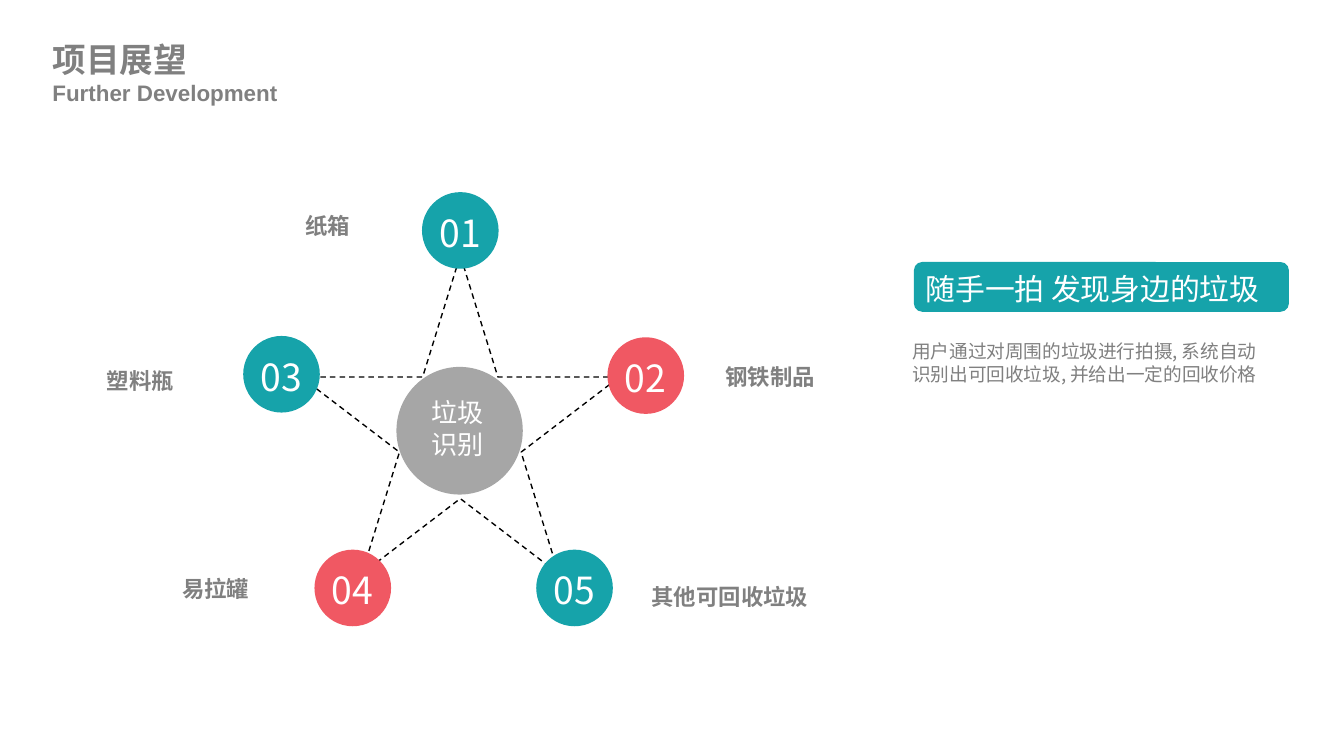
import pptx
import pptx.util
import pptx.dml.color
import pptx.enum.dml
import pptx.enum.shapes
import pptx.enum.text
import pptx.oxml.ns
import lxml.etree

Inches, Pt = pptx.util.Inches, pptx.util.Pt
ALIGN = pptx.enum.text.PP_ALIGN
ANCHOR = pptx.enum.text.MSO_ANCHOR
SHAPE = pptx.enum.shapes.MSO_SHAPE

# Content
COLORS = {"teal": "16A3AA", "red": "F05863", "hub": "A6A6A6",
          "text": "808080", "white": "FFFFFF", "black": "000000"}
CJK_FONT, LATIN_FONT = "Noto Sans CJK SC", "Arial"
TITLE = [("项目展望", 18), ("Further Development", 12)]
HUB_LINES = ["垃圾", "识别"]
BANNER = "随手一拍 发现身边的垃圾"
DESCRIPTION = "用户通过对周围的垃圾进行拍摄, 系统自动识别出可回收垃圾, 并给出一定的回收价格"

# Number, colour, circle corner, label, label box (left, top, width), alignment
NODES = [
    ("01", "teal", (3.14, 1.43), "纸箱", (2.17, 1.53, 0.54), ALIGN.CENTER),
    ("02", "red", (4.52, 2.51), "钢铁制品", (5.3, 2.65, 0.88), ALIGN.LEFT),
    ("03", "teal", (1.81, 2.5), "塑料瓶", (0.69, 2.68, 0.71), ALIGN.CENTER),
    ("04", "red", (2.34, 4.09), "易拉罐", (1.25, 4.23, 0.71), ALIGN.CENTER),
    ("05", "teal", (3.99, 4.09), "其他可回收垃圾", (4.75, 4.29, 1.38), ALIGN.LEFT),
]
NODE_SIZE = 0.57
LABEL_HEIGHT = 0.3


def color(name):
    return pptx.dml.color.RGBColor.from_string(COLORS[name])


def add_run(paragraph, text, size, color_name, bold=False, latin=CJK_FONT):
    run = paragraph.add_run()
    run.text = text
    run.font.size = Pt(size)
    run.font.bold = bold
    run.font.name = latin
    run.font.color.rgb = color(color_name)
    east_asian = lxml.etree.SubElement(run.font._element, pptx.oxml.ns.qn("a:ea"))
    east_asian.set("typeface", CJK_FONT)


def add_shape(slide, kind, box, fill):
    shape = slide.shapes.add_shape(kind, *map(Inches, box))
    shape.shadow.inherit = False
    shape.line.fill.background()
    if fill:
        shape.fill.solid()
        shape.fill.fore_color.rgb = color(fill)
    else:
        shape.fill.background()
    return shape


def write_in_shape(shape, lines, size, insets=(0, 0, 0, 0)):
    frame = shape.text_frame
    frame.word_wrap = False
    frame.vertical_anchor = ANCHOR.MIDDLE
    (frame.margin_left, frame.margin_top,
     frame.margin_right, frame.margin_bottom) = map(Inches, insets)
    paragraph = frame.paragraphs[0]
    paragraph.alignment = ALIGN.CENTER
    for index, line in enumerate(lines):
        if index:
            paragraph.add_line_break()
        add_run(paragraph, line, size, "white")


def add_text(slide, box, text, size, bold, wrap, alignment=ALIGN.LEFT):
    frame = slide.shapes.add_textbox(*map(Inches, box)).text_frame
    frame.word_wrap = wrap
    paragraph = frame.paragraphs[0]
    paragraph.alignment = alignment
    add_run(paragraph, text, size, "text", bold)


def add_title(slide):
    title = slide.shapes.title
    title.left, title.top, title.width, title.height = map(
        Inches, (0.29, 0.24, 1.89, 0.61))
    frame = title.text_frame
    frame.word_wrap = False
    frame.auto_size = pptx.enum.text.MSO_AUTO_SIZE.NONE
    frame.vertical_anchor = ANCHOR.TOP
    for index, (text, size) in enumerate(TITLE):
        paragraph = frame.add_paragraph() if index else frame.paragraphs[0]
        paragraph.alignment = ALIGN.LEFT
        add_run(paragraph, text, size, "text", True, LATIN_FONT)


def main():
    # Widescreen page, 16 to 9
    presentation = pptx.Presentation()
    presentation.slide_width = Inches(10)
    presentation.slide_height = Inches(10) * 9 // 16
    slide = presentation.slides.add_slide(presentation.slide_layouts[5])
    add_title(slide)

    # Dashed star behind the circles
    star = add_shape(slide, SHAPE.STAR_5_POINT, (2.24, 1.9, 2.37, 2.37), None)
    star.line.color.rgb = color("black")
    star.line.width = Pt(0.75)
    star.line.dash_style = pptx.enum.dml.MSO_LINE.DASH

    # Hub
    hub = add_shape(slide, SHAPE.OVAL, (2.95, 2.73, 0.94, 0.95), "hub")
    write_in_shape(hub, HUB_LINES, 14, (0, 0, 0.03, 0.04))

    # Numbered circles and their labels
    for number, fill, corner, label, (left, top, width), alignment in NODES:
        circle = add_shape(slide, SHAPE.OVAL, (*corner, NODE_SIZE, NODE_SIZE), fill)
        write_in_shape(circle, [number], 20, (0, 0.03, 0, 0))
        add_text(slide, (left, top, width, LABEL_HEIGHT), label, 12, True,
                 False, alignment)

    # Banner and description
    banner = add_shape(slide, SHAPE.ROUNDED_RECTANGLE, (6.8, 1.95, 2.79, 0.37), "teal")
    write_in_shape(banner, [BANNER], 16, (0, 0.02, 0.13, 0))
    add_text(slide, (6.69, 2.48, 2.76, 0.61), DESCRIPTION, 10, False, True)

    presentation.save("out.pptx")


if __name__ == "__main__":
    main()
